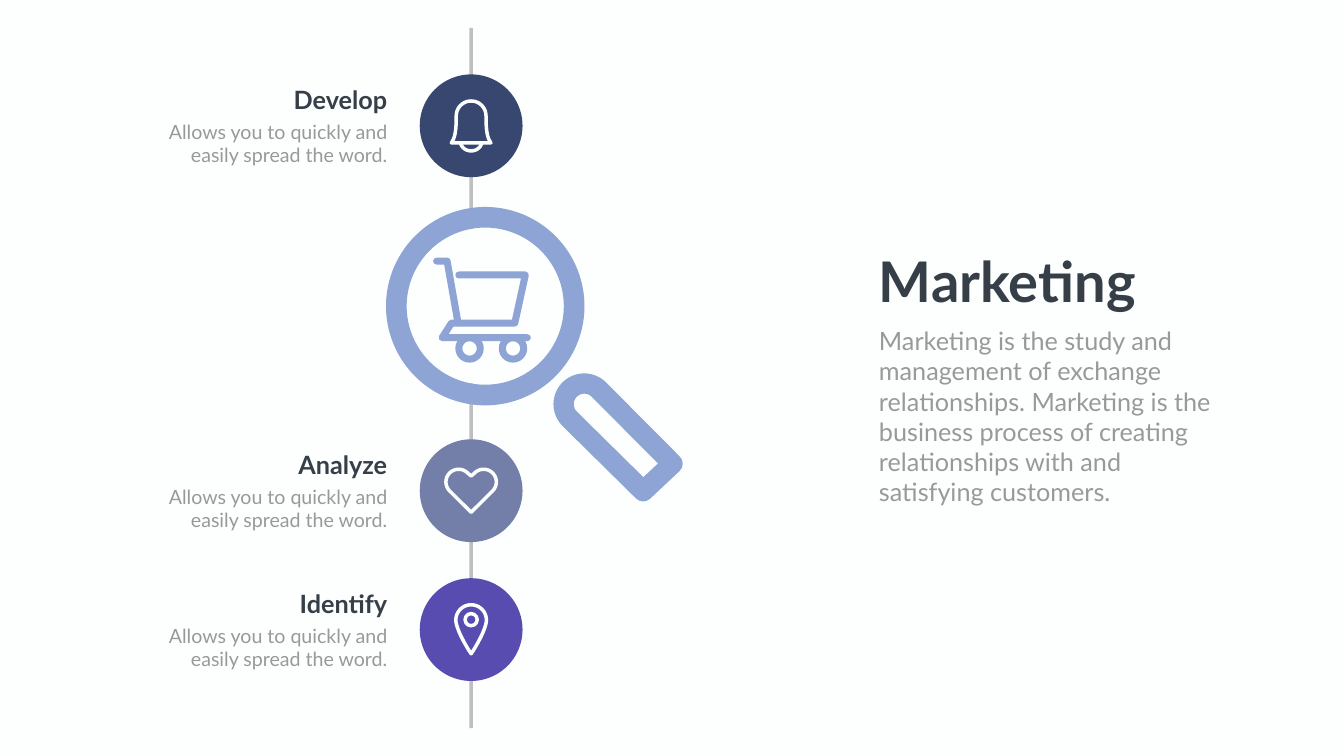
from math import cos, radians, sin

from lxml import etree
from pptx import Presentation
from pptx.dml.color import RGBColor
from pptx.enum.shapes import MSO_CONNECTOR, MSO_SHAPE
from pptx.enum.text import MSO_AUTO_SIZE, PP_ALIGN
from pptx.oxml.ns import qn
from pptx.util import Cm, Pt

OVAL, DONUT = MSO_SHAPE.OVAL, MSO_SHAPE.DONUT
LEFT, RIGHT = PP_ALIGN.LEFT, PP_ALIGN.RIGHT
PAPER, DARK, GREY, BLUE = "FDFFFE", "363E48", "999999", "8EA4D5"
FONT = "Lato"
AXIS = 23.74
HINT = "Allows you to quickly and easily spread the word."


def rgb(code):
    return RGBColor.from_string(code)


def arc(x, y, r, start, end, steps=24):
    """Points on a circle; angles in degrees, clockwise from the right."""
    turns = [radians(start + (end - start) * i / steps) for i in range(steps + 1)]
    return [(x + r * cos(t), y + r * sin(t)) for t in turns]


def curve(a, b, c, d, steps=16):
    """Points on a cubic curve from a to d with handles b and c."""
    spots = []
    for i in range(steps + 1):
        t = i / steps
        u = 1 - t
        spots.append(tuple(u**3 * p + 3 * u * u * t * q + 3 * u * t * t * r + t**3 * s
                           for p, q, r, s in zip(a, b, c, d)))
    return spots


def flip(points):
    """Mirror points left to right and reverse their order."""
    return [(-x, y) for x, y in reversed(points)]


def pen(shape, ink, width):
    shape.line.color.rgb = rgb(ink)
    shape.line.width = Pt(width)
    line = shape._element.spPr.find(qn("a:ln"))
    line.set("cap", "rnd")
    etree.SubElement(line, qn("a:round"))


def stroke(shapes, x, y, points, ink, width, shut=True):
    """Outline through points given relative to (x, y)."""
    spots = [(Cm(x + dx), Cm(y + dy)) for dx, dy in points]
    form = shapes.build_freeform(*spots[0])
    form.add_line_segments(spots[1:], close=shut)
    shape = form.convert_to_shape()
    shape.shadow.inherit = False
    shape.fill.background()
    pen(shape, ink, width)


def disc(shapes, x, y, size, ink, kind=OVAL):
    """Filled round shape centred on (x, y)."""
    shape = shapes.add_shape(kind, Cm(x - size / 2), Cm(y - size / 2), Cm(size), Cm(size))
    shape.shadow.inherit = False
    shape.fill.solid()
    shape.fill.fore_color.rgb = rgb(ink)
    shape.line.fill.background()
    return shape


def ring(shapes, x, y, size, ink, width):
    """Unfilled circle centred on (x, y)."""
    shape = disc(shapes, x, y, size, ink)
    shape.fill.background()
    pen(shape, ink, width)


def label(shapes, x, y, w, h, words, size, ink, bold=False, align=LEFT):
    box = shapes.add_textbox(Cm(x), Cm(y), Cm(w), Cm(h))
    frame = box.text_frame
    frame.word_wrap = True
    frame.auto_size = MSO_AUTO_SIZE.SHAPE_TO_FIT_TEXT
    frame.text = words
    para = frame.paragraphs[0]
    para.alignment = align
    font = para.runs[0].font
    font.name, font.size, font.bold = FONT, Pt(size), bold
    font.color.rgb = rgb(ink)


def bell(shapes, x, y):
    side = curve((0.75, -0.5), (0.75, 0.2), (0.8, 0.6), (1, 0.86))
    body = flip(side) + arc(0, -0.5, 0.75, 180, 360) + side
    stroke(shapes, x, y, body, PAPER, 5)
    clap = curve((-0.54, 0.86), (-0.4, 1.4), (0.4, 1.4), (0.54, 0.86))
    stroke(shapes, x, y, clap, PAPER, 5, False)


def heart(shapes, x, y):
    lobe = arc(-0.63, -0.44, 0.64, 135, 315)
    stroke(shapes, x, y, lobe + [(0, -0.74)] + flip(lobe) + [(0, 1.09)], PAPER, 5)


def pin(shapes, x, y):
    side = curve((0.77, -0.48), (0.77, -0.1), (0.35, 0.7), (0, 1.22))
    stroke(shapes, x, y, arc(0, -0.48, 0.77, 180, 360) + side + flip(side), PAPER, 5)
    ring(shapes, x, y - 0.5, 0.61, PAPER, 5)


def cart(shapes, x, y):
    grip = [(-2.45, -2.27), (-1.92, -2.27), (-1.37, 0.85)]
    body = [(-1.33, -1.57), (2.02, -1.57), (1.49, 0.85),
            (-1.7, 0.85), (-2.17, 1.59), (2.12, 1.59)]
    for points in (grip, body):
        stroke(shapes, x, y, points, BLUE, 10, False)
    for wheel in (-0.79, 1.4):
        ring(shapes, x + wheel, y + 2.13, 1.08, BLUE, 10)


def spine(shapes, x, top, end):
    line = shapes.add_connector(MSO_CONNECTOR.STRAIGHT, Cm(x), Cm(top), Cm(x), Cm(end))
    line.line.color.rgb = rgb("808080")
    line.line.width = Pt(5)
    props = line._element.spPr
    tint = props.find(".//" + qn("a:srgbClr"))
    etree.SubElement(tint, qn("a:alpha")).set("val", "50000")
    etree.SubElement(props, qn("a:effectLst"))


def lens(shapes, x, y):
    """Magnifying glass centred on (x, y), with the cart inside."""
    disc(shapes, x, y, 7.9, PAPER)
    grip = arc(4.99, 4.94, 1.04, 135, 315) + [(9.44, 7.94), (7.96, 9.33)]
    stroke(shapes, x, y, grip, BLUE, 29)
    disc(shapes, x, y, 10, BLUE, DONUT).adjustments[0] = 0.104
    cart(shapes, x, y)


def step(shapes, x, y, name, ink, icon):
    """Disc with its icon, and the text to its left."""
    disc(shapes, x, y, 5.18, ink)
    icon(shapes, x, y)
    edge = x - 3.98
    label(shapes, edge - 6.63, y - 2.23, 6.63, 1.8, name, 36, DARK, True, RIGHT)
    label(shapes, edge - 11.66, y - 0.43, 11.66, 2.64, HINT, 28, GREY, False, RIGHT)


def story(shapes, x, y):
    label(shapes, x, y, 17.91, 3.68, "Marketing", 80, DARK, True)
    label(shapes, x, y + 3.96, 17.42, 9.5,
          "Marketing is the study and management of exchange relationships. "
          "Marketing is the business process of creating relationships with "
          "and satisfying customers.", 36, GREY)


def main():
    deck = Presentation()
    deck.slide_width, deck.slide_height = Cm(67.72), Cm(38.1)
    slide = deck.slides.add_slide(deck.slide_layouts[6])
    back = slide.background.fill
    back.solid()
    back.fore_color.rgb = rgb(PAPER)
    shapes = slide.shapes
    spine(shapes, AXIS, 1.4, 36.7)
    lens(shapes, 24.45, 15.43)
    steps = [(6.34, "Develop", "37476F", bell),
             (24.73, "Analyze", "747FA9", heart),
             (31.73, "Identify", "594CB0", pin)]
    for y, name, ink, icon in steps:
        step(shapes, AXIS, y, name, ink, icon)
    story(shapes, 44.04, 12.32)
    deck.save("out.pptx")


if __name__ == "__main__":
    main()
